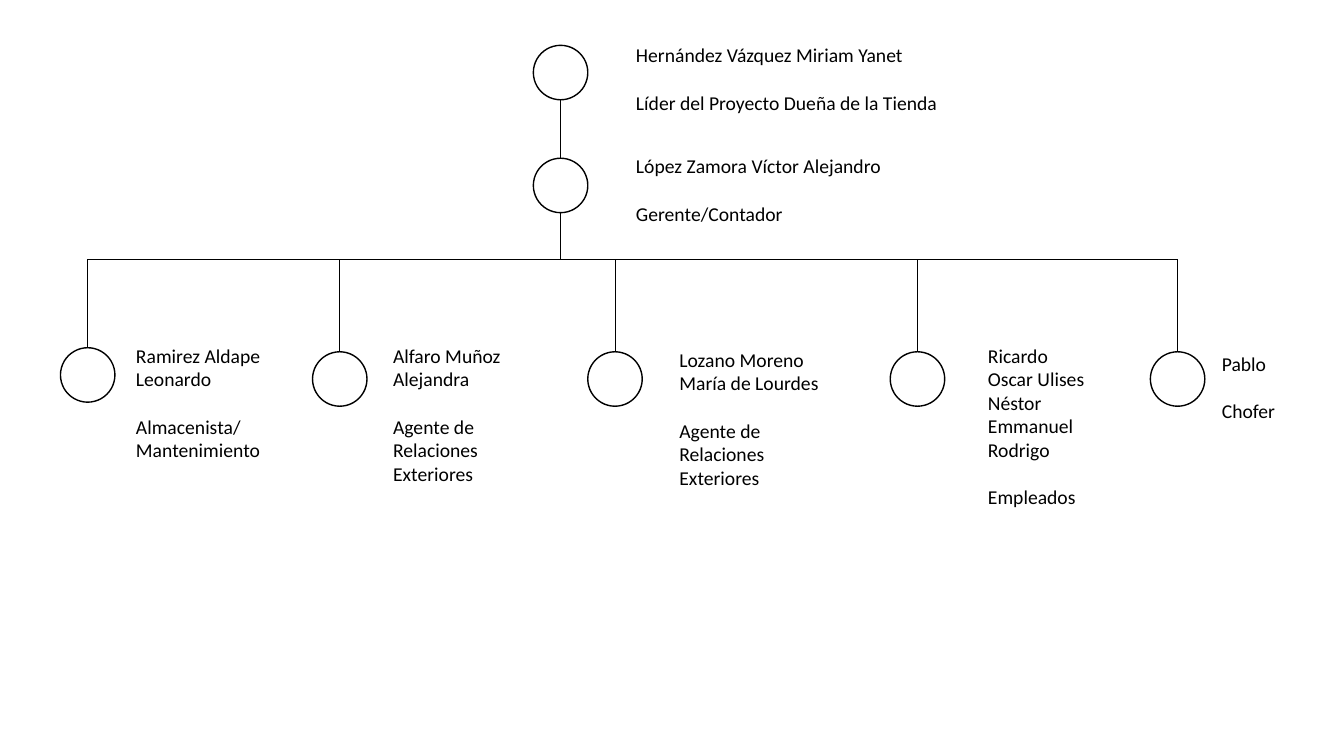
from dataclasses import dataclass

from lxml import etree
from pptx import Presentation
from pptx import util as u
from pptx.dml.color import RGBColor
from pptx.enum import shapes, text
from pptx.oxml.ns import qn


@dataclass(frozen=True)
class Theme:
    ink: RGBColor = RGBColor(0x00, 0x00, 0x00)
    paper: RGBColor = RGBColor(0xFF, 0xFF, 0xFF)
    font: str = "Calibri"
    size: int = 14
    gap: int = 17  # one text line between names and role
    outline: float = 1
    link: float = 0.5
    circle: float = 0.54


THEME = Theme()
BUS_Y = 2.57

# Circle left and top, label left, top and width, names, role
LEADERS = [
    ((5.29, 0.45), (6.21, 0.38, 3.3), ["Hernández Vázquez Miriam Yanet"],
     ["Líder del Proyecto Dueña de la Tienda"]),
    ((5.29, 1.57), (6.21, 1.48, 2.9), ["López Zamora Víctor Alejandro"],
     ["Gerente/Contador"]),
]
STAFF = [
    ((0.6, 3.45), (1.25, 3.36, 1.52), ["Ramirez Aldape Leonardo"],
     ["Almacenista/", "Mantenimiento"]),
    ((3.1, 3.49), (3.8, 3.36, 1.72), ["Alfaro Muñoz Alejandra"],
     ["Agente de Relaciones Exteriores"]),
    ((5.83, 3.49), (6.64, 3.4, 1.77), ["Lozano Moreno María de Lourdes"],
     ["Agente de Relaciones Exteriores"]),
    ((8.83, 3.49), (9.7, 3.36, 1.38),
     ["Ricardo", "Oscar Ulises", "Néstor", "Emmanuel", "Rodrigo"], ["Empleados"]),
    ((11.41, 3.49), (12.02, 3.44, 0.84), ["Pablo"], ["Chofer"]),
]


def add_circle(slide, left, top):
    d = u.Inches(THEME.circle)
    sp = slide.shapes.add_shape(shapes.MSO_SHAPE.OVAL, u.Inches(left), u.Inches(top), d, d)
    sp.shadow.inherit = False
    sp.fill.solid()
    sp.fill.fore_color.rgb = THEME.paper
    sp.line.color.rgb = THEME.ink
    sp.line.width = u.Pt(THEME.outline)
    return sp


def add_label(slide, left, top, width, names, role):
    # Height follows the names, the gap and a role of up to three lines
    height = 0.1 + (len(names) + len(role) + 1) * THEME.gap / 72
    sp = slide.shapes.add_textbox(*map(u.Inches, (left, top, width, height)))
    tf = sp.text_frame
    tf.word_wrap = True
    tf.auto_size = text.MSO_AUTO_SIZE.SHAPE_TO_FIT_TEXT
    for i, line in enumerate(names + role):
        p = tf.paragraphs[0] if i == 0 else tf.add_paragraph()
        if i == len(names):
            p.space_before = u.Pt(THEME.gap)
        r = p.add_run()
        r.text = line
        r.font.name = THEME.font
        r.font.size = u.Pt(THEME.size)
        r.font.color.rgb = THEME.ink


def add_link(slide, x1, y1, x2, y2, target=None):
    c = slide.shapes.add_connector(shapes.MSO_CONNECTOR.STRAIGHT, x1, y1, x2, y2)
    c.line.color.rgb = THEME.ink
    c.line.width = u.Pt(THEME.link)
    etree.SubElement(c._element.spPr, qn("a:effectLst"))
    if target is not None:
        c.end_connect(target, 0)


def center_x(sp):
    return sp.left + sp.width // 2


def add_people(slide, people):
    circles = []
    for spot, label, names, role in people:
        circles.append(add_circle(slide, *spot))
        add_label(slide, *label, names, role)
    return circles


def add_leaders(slide, people, bus_y):
    # Owner above manager, then down to the bus
    owner, manager = add_people(slide, people)
    x = center_x(owner)
    add_link(slide, x, owner.top + owner.height, x, manager.top, manager)
    add_link(slide, x, manager.top + manager.height, x, bus_y)


def add_staff(slide, people, bus_y):
    # Horizontal bus with one drop per circle
    circles = add_people(slide, people)
    add_link(slide, center_x(circles[0]), bus_y, center_x(circles[-1]), bus_y)
    for sp in circles:
        add_link(slide, center_x(sp), bus_y, center_x(sp), sp.top, sp)


def main():
    prs = Presentation()
    prs.slide_width, prs.slide_height = u.Inches(13.33), u.Inches(7.5)
    slide = prs.slides.add_slide(prs.slide_layouts[6])
    add_leaders(slide, LEADERS, u.Inches(BUS_Y))
    add_staff(slide, STAFF, u.Inches(BUS_Y))
    prs.save("out.pptx")


if __name__ == "__main__":
    main()
